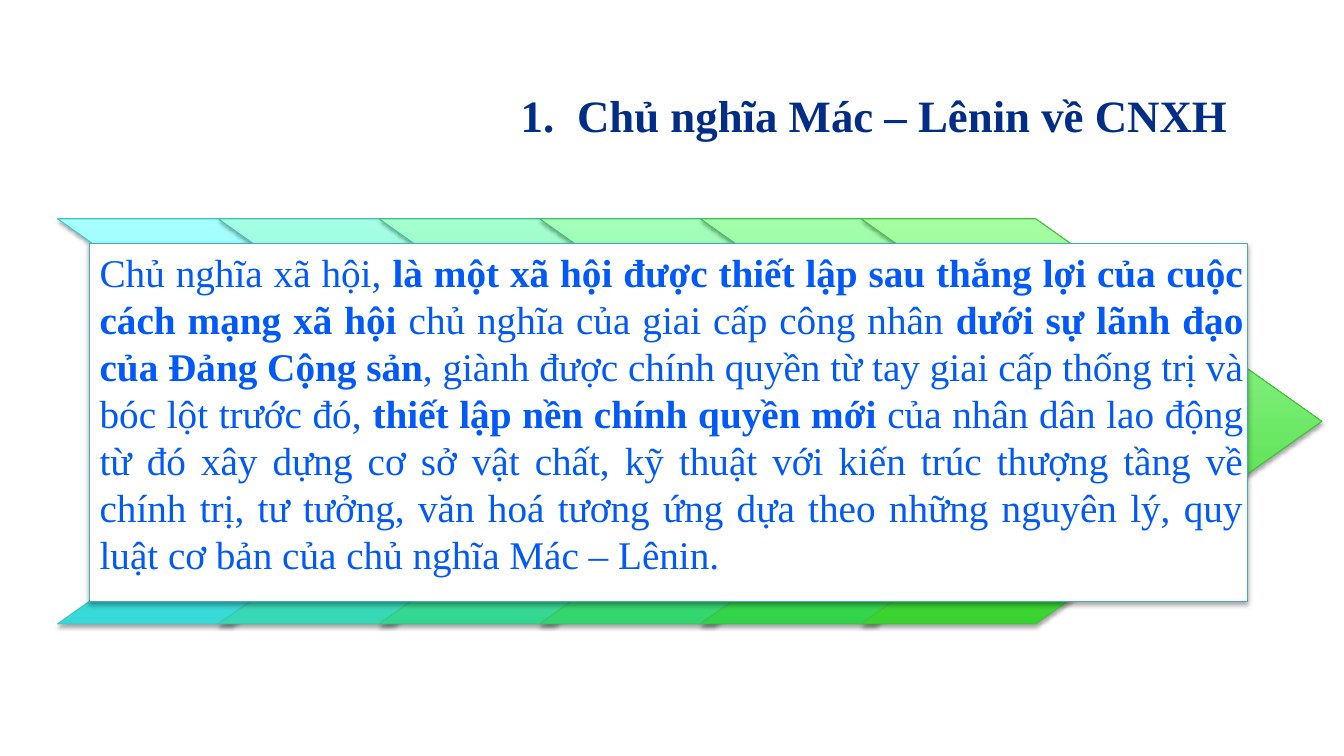
import pptx
import pptx.util
import pptx.dml.color
import pptx.enum.shapes
import pptx.enum.text
import pptx.oxml
import pptx.oxml.ns

Inches, Pt = pptx.util.Inches, pptx.util.Pt
SHAPE = pptx.enum.shapes.MSO_SHAPE
ALIGN = pptx.enum.text.PP_ALIGN
qn = pptx.oxml.ns.qn

# Content
FONT = "Times New Roman"
TITLE = "Chủ nghĩa Mác – Lênin về CNXH"
BODY = [  # text, bold
    ("Chủ nghĩa xã hội, ", False),
    ("là một xã hội được thiết lập sau thắng lợi của cuộc cách mạng xã hội ", True),
    ("chủ nghĩa của giai cấp công nhân ", False),
    ("dưới sự lãnh đạo của Đảng Cộng sản", True),
    (", giành được chính quyền từ tay giai cấp thống trị và bóc lột trước đó, ", False),
    ("thiết lập nền chính quyền mới ", True),
    ("của nhân dân lao động từ đó xây dựng cơ sở vật chất, kỹ thuật với kiến trúc "
     "thượng tầng về chính trị, tư tưởng, văn hoá tương ứng dựa theo những nguyên lý, "
     "quy luật cơ bản của chủ nghĩa Mác – Lênin.", False),
]
COLORS = {"title": "012D86", "body": "0159F9", "panel": "FFFFFF", "edge": "46AAC5"}
ARROWS = [  # bottom, top, line
    ("36D8D8", "A7FFFF", "44C4C4"),
    ("35D7B5", "A6FFE5", "43C3A8"),
    ("33D691", "A5FFCE", "41C28B"),
    ("32D56D", "A5FFBB", "40C16F"),
    ("30D449", "A4FFAC", "3EC052"),
    ("39D32F", "A7FFA4", "46BF3D"),
]
LEFT, TOP, WIDE, HIGH = 0.57, 2.17, 4.57, 4.02
STEP = (8.54 - LEFT) / (len(ARROWS) - 1)


def rgb(code):
    return pptx.dml.color.RGBColor.from_string(code)


def add_part(kind, box, edge):
    """Add a thinly outlined shape with a soft drop shadow."""
    part = slide.shapes.add_shape(kind, *map(Inches, box))
    part.line.color.rgb = rgb(edge)
    part.line.width = Pt(0.75)
    part.shadow.inherit = False
    part._element.spPr.find(qn("a:effectLst")).append(pptx.oxml.parse_xml(
        f'<a:outerShdw {pptx.oxml.ns.nsdecls("a")} blurRad="{Pt(3.1)}" dist="{Pt(1.8)}" '
        'dir="5400000" rotWithShape="0"><a:srgbClr val="000000">'
        '<a:alpha val="35000"/></a:srgbClr></a:outerShdw>'))
    return part


def add_run(para, text, size, bold, color):
    run = para.add_run()
    run.text = text
    run.font.name, run.font.size, run.font.bold = FONT, Pt(size), bold
    run.font.color.rgb = rgb(color)


deck = pptx.Presentation()
deck.slide_width, deck.slide_height = Inches(13.33), Inches(7.5)
slide = deck.slides.add_slide(deck.slide_layouts[5])

# Overlapping chevrons
for i, (low, high, edge) in enumerate(ARROWS):
    arrow = add_part(SHAPE.CHEVRON, (LEFT + i * STEP, TOP, WIDE, HIGH), edge)
    arrow.adjustments[0] = 0.706
    arrow.fill.gradient()
    arrow.fill.gradient_angle = 90
    for stop, code in zip(arrow.fill.gradient_stops, (low, high)):
        stop.color.rgb = rgb(code)

# White panel
panel = add_part(SHAPE.RECTANGLE, (0.89, 2.42, 11.48, 3.55), COLORS["edge"])
panel.fill.solid()
panel.fill.fore_color.rgb = rgb(COLORS["panel"])

# Definition
frame = slide.shapes.add_textbox(*map(Inches, (0.89, 2.41, 11.54, 3.4))).text_frame
frame.word_wrap = True
para = frame.paragraphs[0]
para.alignment = ALIGN.JUSTIFY
for text, bold in BODY:
    add_run(para, text, 28, bold, COLORS["body"])

# Numbered title
title = slide.shapes.title
title.left, title.top, title.width, title.height = map(Inches, (4.24, 0.62, 8.86, 1.03))
frame = title.text_frame
frame.auto_size = pptx.enum.text.MSO_AUTO_SIZE.NONE
frame.vertical_anchor = pptx.enum.text.MSO_ANCHOR.MIDDLE
para = frame.paragraphs[0]
para.alignment = ALIGN.CENTER
props = para._p.get_or_add_pPr()
props.set("marL", str(Inches(0.56)))
props.set("indent", str(-Inches(0.56)))
props.append(pptx.oxml.parse_xml(
    f'<a:buFont {pptx.oxml.ns.nsdecls("a")} typeface="+mj-lt"/>'))
props.append(pptx.oxml.parse_xml(
    f'<a:buAutoNum {pptx.oxml.ns.nsdecls("a")} type="arabicPeriod"/>'))
add_run(para, TITLE, 32, True, COLORS["title"])

deck.save("out.pptx")
